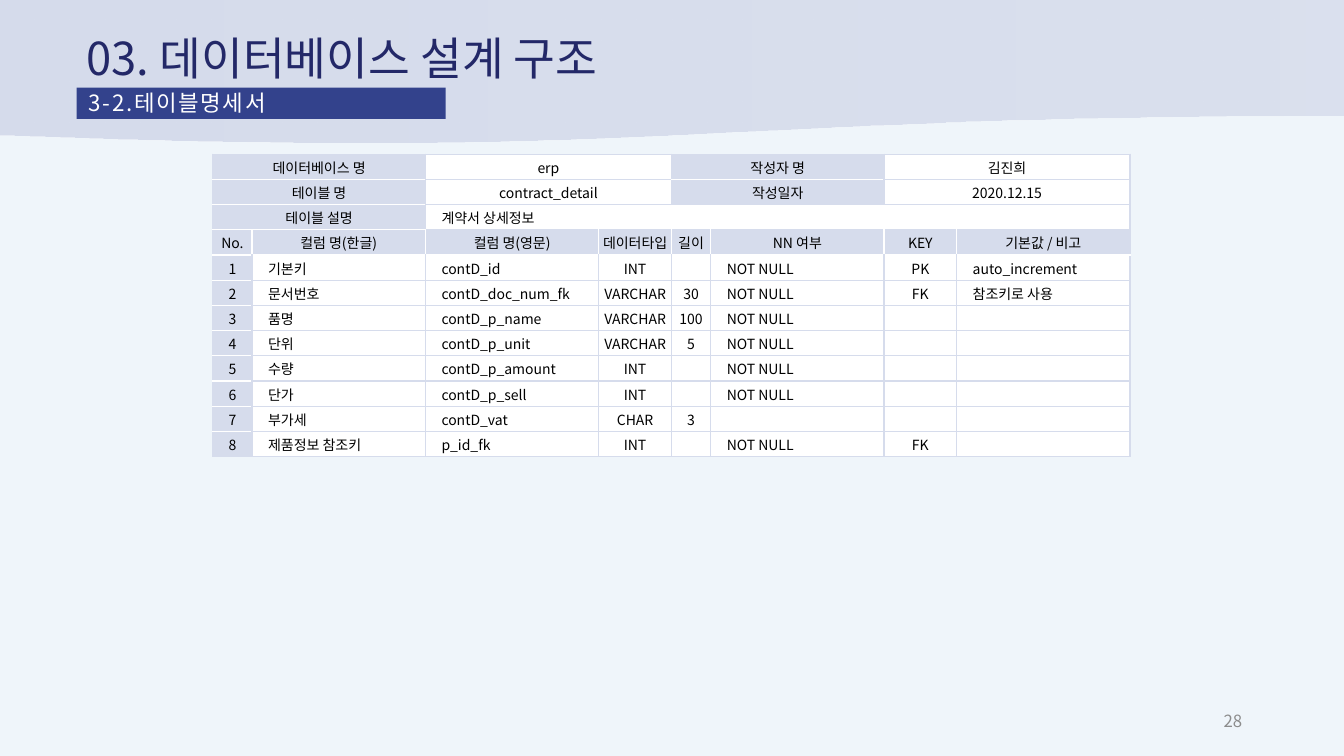
from dataclasses import dataclass

from lxml import etree
from pptx import Presentation, util as u
from pptx.dml import color
from pptx.enum import shapes, text
from pptx.oxml import ns


@dataclass(frozen=True)
class Theme:
    font: str = "Noto Sans CJK KR"
    back: str = "EFF5FA"
    pale: str = "D6DCEC"
    white: str = "FFFFFF"
    black: str = "000000"
    navy: str = "232868"
    blue: str = "33428C"
    gray: str = "8C8C8C"
    title: float = 32.4
    sub: float = 16
    page: float = 12
    cell: float = 10


T = Theme()
LEFT, MID, RIGHT = text.PP_ALIGN.LEFT, text.PP_ALIGN.CENTER, text.PP_ALIGN.RIGHT
HEAD = 3  # row of the column headings
WIDTHS = [0.39, 1.72, 1.72, 0.72, 0.39, 1.72, 0.72, 1.72]
# row, column, span, text, shaded
TOP = [
    (0, 0, 2, "데이터베이스 명", True), (0, 2, 2, "erp", False),
    (0, 4, 2, "작성자 명", True), (0, 6, 2, "김진희", False),
    (1, 0, 2, "테이블 명", True), (1, 2, 2, "contract_detail", False),
    (1, 4, 2, "작성일자", True), (1, 6, 2, "2020.12.15", False),
    (2, 0, 2, "테이블 설명", True), (2, 2, 6, "계약서 상세정보", False),
]
NAMES = ["No.", "컬럼 명(한글)", "컬럼 명(영문)", "데이터타입", "길이",
         "NN 여부", "KEY", "기본값 / 비고"]
FIELDS = [
    ("기본키", "contD_id", "INT", "", "NOT NULL", "PK", "auto_increment"),
    ("문서번호", "contD_doc_num_fk", "VARCHAR", "30", "NOT NULL", "FK", "참조키로 사용"),
    ("품명", "contD_p_name", "VARCHAR", "100", "NOT NULL", "", ""),
    ("단위", "contD_p_unit", "VARCHAR", "5", "NOT NULL", "", ""),
    ("수량", "contD_p_amount", "INT", "", "NOT NULL", "", ""),
    ("단가", "contD_p_sell", "INT", "", "NOT NULL", "", ""),
    ("부가세", "contD_vat", "CHAR", "3", "", "", ""),
    ("제품정보 참조키", "p_id_fk", "INT", "", "NOT NULL", "FK", ""),
]


def rgb(code):
    return color.RGBColor.from_string(code)


def inches(box):
    return [u.Inches(n) for n in box]


def paint(thing, code):
    thing.fill.solid()
    thing.fill.fore_color.rgb = rgb(code)


def write(frame, words, size, code, align=LEFT):
    """Put one styled paragraph in the frame and return it."""
    frame.word_wrap = True
    para = frame.paragraphs[0]
    para.text = words
    para.alignment = align
    for run in para.runs:
        run.font.size = u.Pt(size)
        run.font.name = T.font
        run.font.color.rgb = rgb(code)
        east = etree.SubElement(run.font._element, ns.qn("a:ea"))
        east.set("typeface", T.font)
    if not words:
        para._p.get_or_add_endParaRPr().set("sz", str(int(size * 100)))
    return para


def banner(slide, box):
    wave = slide.shapes.add_shape(shapes.MSO_SHAPE.FLOWCHART_DOCUMENT, *inches(box))
    wave.shadow.inherit = False
    wave.line.fill.background()
    wave.fill.gradient()
    wave.fill.gradient_angle = 0
    for stop in wave.fill.gradient_stops:
        stop.color.rgb = rgb(T.pale)
    last = wave._element.spPr.findall(".//" + ns.qn("a:srgbClr"))[-1]
    etree.SubElement(last, ns.qn("a:alpha")).set("val", "80000")


def label(slide, box, words, size, code, align=LEFT):
    frame = slide.shapes.add_textbox(*inches(box)).text_frame
    frame.vertical_anchor = text.MSO_ANCHOR.MIDDLE
    write(frame, words, size, code, align)


def ribbon(slide, box, words):
    bar = slide.shapes.add_shape(shapes.MSO_SHAPE.RECTANGLE, *inches(box))
    bar.shadow.inherit = False
    bar.line.fill.background()
    paint(bar, T.blue)
    frame = bar.text_frame
    frame.vertical_anchor = text.MSO_ANCHOR.TOP
    frame.margin_left = frame.margin_right = u.Inches(0.12)
    frame.margin_top, frame.margin_bottom = u.Inches(0.04), u.Inches(0.05)
    para = write(frame, words, T.sub, T.white)
    para.line_spacing = 0.9
    para.runs[0].font._element.set("spc", "120")


def edges(cell, codes):
    """Draw the left, right, top and bottom borders, in that order."""
    props = cell._tc.get_or_add_tcPr()
    for spot, (side, code) in enumerate(zip("LRTB", codes)):
        line = etree.Element(ns.qn("a:ln" + side), w=str(u.Pt(1)))
        fill = etree.SubElement(line, ns.qn("a:solidFill"))
        etree.SubElement(fill, ns.qn("a:srgbClr")).set("val", code)
        props.insert(spot, line)


def layout():
    """List every cell as row, column, span, text, shaded."""
    cells = TOP + [(HEAD, c, 1, name, True) for c, name in enumerate(NAMES)]
    for n, field in enumerate(FIELDS, 1):
        row = (str(n), *field)
        cells += [(HEAD + n, c, 1, words, c == 0) for c, words in enumerate(row)]
    return cells


def grid(slide, box):
    rows = HEAD + 1 + len(FIELDS)
    table = slide.shapes.add_table(rows, len(WIDTHS), *inches(box)).table
    table.first_row = table.horz_banding = False
    for col, width in zip(table.columns, WIDTHS):
        col.width = u.Inches(width)
    for row in table.rows:
        row.height = u.Inches(box[3] / rows)

    cells = layout()
    shade = {(r, c + k): dark for r, c, span, _, dark in cells for k in range(span)}

    def edge(one, two):
        """White between two shaded cells and under the headings."""
        under = one[0] == HEAD and two[0] == HEAD + 1
        both = shade.get(one) and shade.get(two)
        return T.white if under or both else T.pale

    for r, c, span, words, dark in cells:
        cell = table.cell(r, c)
        if span > 1:
            cell.merge(table.cell(r, c + span - 1))
        inset = not dark and (r == HEAD - 1 or r > HEAD and c in (1, 2, 5, 7))
        cell.margin_left = u.Inches(0.16 if inset else 0.01)
        cell.margin_right = cell.margin_top = u.Inches(0.01)
        cell.margin_bottom = 0
        cell.vertical_anchor = text.MSO_ANCHOR.MIDDLE
        write(cell.text_frame, words, T.cell, T.black, LEFT if inset else MID)
        paint(cell, T.pale if dark else T.white)
        here = (r, c)
        edges(cell, [edge((r, c - 1), here), edge(here, (r, c + span)),
                     edge((r - 1, c), here), edge(here, (r + 1, c))])


def main():
    deck = Presentation()
    deck.slide_width, deck.slide_height = inches((13.33, 7.5))
    slide = deck.slides.add_slide(deck.slide_layouts[6])
    paint(slide.background, T.back)
    banner(slide, (0, 0, 13.33, 1.43))
    label(slide, (9.42, 6.95, 3, 0.4), "28", T.page, T.gray, RIGHT)
    grid(slide, (2.11, 1.53, 9.1, 3))
    label(slide, (0.76, 0.28, 8.55, 0.58), "03. 데이터베이스 설계 구조", T.title, T.navy)
    ribbon(slide, (0.76, 0.87, 3.66, 0.31), "3-2.테이블명세서")
    deck.save("out.pptx")


if __name__ == "__main__":
    main()
